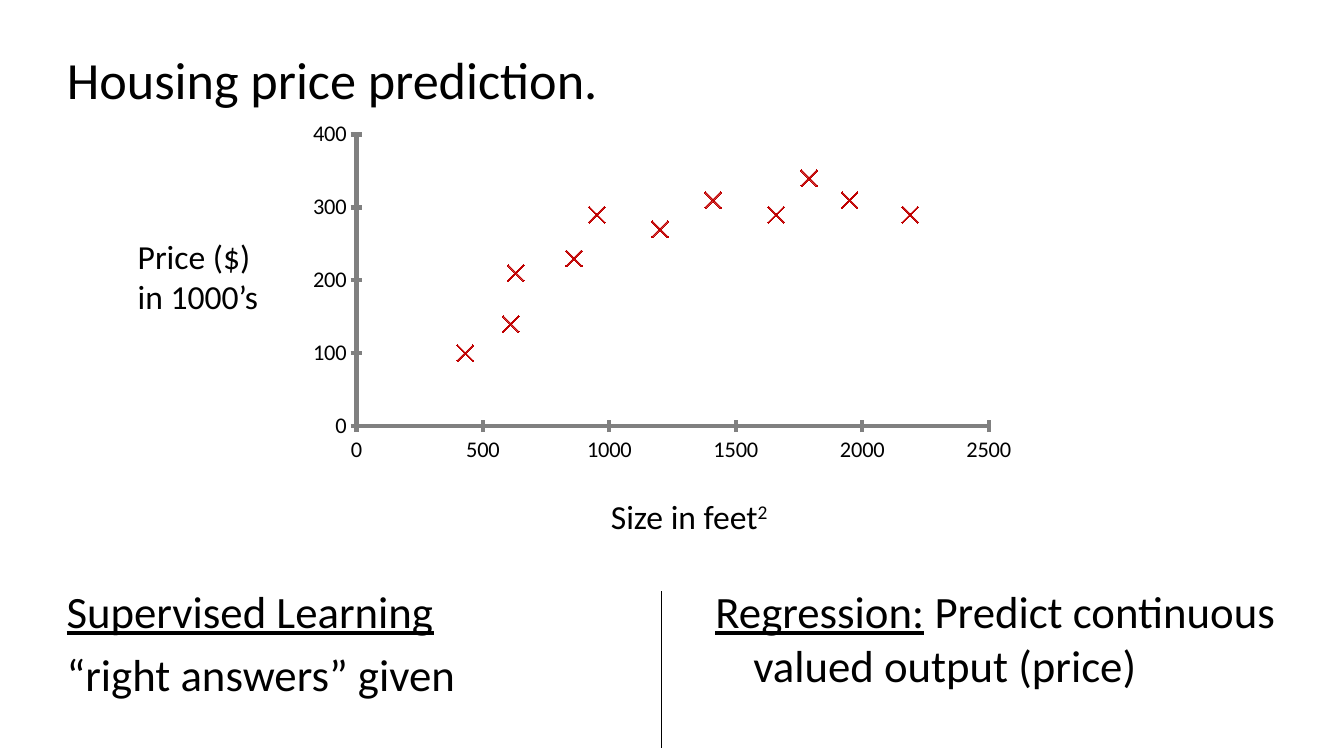
from lxml.etree import SubElement
from pptx import Presentation
from pptx.chart.data import XyChartData
from pptx.dml.color import RGBColor
from pptx.enum.chart import XL_CHART_TYPE, XL_MARKER_STYLE, XL_TICK_MARK
from pptx.enum.shapes import MSO_CONNECTOR
from pptx.enum.text import MSO_ANCHOR, MSO_AUTO_SIZE, PP_ALIGN
from pptx.oxml import parse_xml
from pptx.oxml.ns import nsdecls, qn
from pptx.util import Emu, Pt

FONT = "Calibri"
BLACK = "000000"
AXIS_GREY = "808080"
MARKER_RED = "C00000"
HANGING_INDENT = 36
HOUSES = [
    (430, 100), (610, 140), (630, 210), (860, 230), (950, 290), (1200, 270),
    (1410, 310), (1660, 290), (1790, 340), (1950, 310), (2190, 290),
]
PLOT_FRACTIONS = {"x": 0.136, "y": 0.066, "w": 0.776, "h": 0.759}


def px(length):
    return Emu(length * 9525)


def color(value):
    return RGBColor.from_string(value)


def place(shape, box):
    shape.left, shape.top, shape.width, shape.height = map(px, box)


def write(shape, paragraphs, size, align=PP_ALIGN.LEFT, hanging=False, wrap=True):
    frame = shape.text_frame
    frame.word_wrap = wrap
    frame.auto_size = MSO_AUTO_SIZE.NONE if wrap else MSO_AUTO_SIZE.SHAPE_TO_FIT_TEXT
    frame.vertical_anchor = MSO_ANCHOR.TOP
    for index, runs in enumerate(paragraphs):
        paragraph = frame.add_paragraph() if index else frame.paragraphs[0]
        paragraph.alignment = align
        if hanging:
            properties = paragraph._p.get_or_add_pPr()
            properties.set("marL", str(px(HANGING_INDENT)))
            properties.set("indent", str(px(-HANGING_INDENT)))
            paragraph.space_before = Pt(size * 0.2 if index else 0)
        for text, style in runs:
            run = paragraph.add_run()
            run.text = text
            run.font.name = FONT
            run.font.size = Pt(size)
            run.font.color.rgb = color(BLACK)
            if style == "underline":
                run.font.underline = True
            if style == "superscript":
                run._r.get_or_add_rPr().set("baseline", "30000")


def add_text(slide, box, paragraphs, size, **style):
    shape = slide.shapes.add_textbox(*map(px, box))
    write(shape, paragraphs, size, **style)


def format_axis(axis, maximum, step):
    axis.minimum_scale = 0
    axis.maximum_scale = maximum
    axis.major_unit = step
    axis.has_major_gridlines = False
    axis.has_title = False
    axis.major_tick_mark = XL_TICK_MARK.CROSS
    axis.minor_tick_mark = XL_TICK_MARK.NONE
    axis.format.line.color.rgb = color(AXIS_GREY)
    axis.format.line.width = Pt(3)
    axis.tick_labels.number_format = "0"
    axis.tick_labels.number_format_is_linked = False
    axis.tick_labels.font.size = Pt(16)
    axis.tick_labels.font.name = FONT
    axis.tick_labels.font.color.rgb = color(BLACK)


def set_plot_layout(chart):
    plot_area = chart._chartSpace.chart.plotArea
    for layout in plot_area.findall(qn("c:layout")):
        plot_area.remove(layout)
    layout = parse_xml(f"<c:layout {nsdecls('c')}><c:manualLayout/></c:layout>")
    manual = layout[0]
    SubElement(manual, qn("c:layoutTarget")).set("val", "inner")
    for name in "xy":
        SubElement(manual, qn(f"c:{name}Mode")).set("val", "edge")
    for name, fraction in PLOT_FRACTIONS.items():
        SubElement(manual, qn(f"c:{name}")).set("val", str(fraction))
    plot_area.insert(0, layout)


def add_price_chart(slide, box):
    data = XyChartData()
    houses = data.add_series("Series 1")
    for size, price in HOUSES:
        houses.add_data_point(size, price)
    chart = slide.shapes.add_chart(XL_CHART_TYPE.XY_SCATTER, *map(px, box), data).chart
    chart.has_title = False
    chart.has_legend = False
    chart.font.name = FONT
    chart.font.size = Pt(10)
    chart.font.color.rgb = color(BLACK)
    format_axis(chart.category_axis, 2500, 500)
    format_axis(chart.value_axis, 400, 100)
    set_plot_layout(chart)
    chart.plots[0].vary_by_categories = False
    series = chart.plots[0].series[0]
    series.smooth = False
    series.format.line.fill.background()
    series.marker.style = XL_MARKER_STYLE.X
    series.marker.size = 12
    series.marker.format.fill.background()
    series.marker.format.line.color.rgb = color(MARKER_RED)


def add_chart_region(slide, box):
    left, top, width, height = box
    add_price_chart(slide, (left + 113, top, 776, height - 46))
    label = {"size": 24, "align": PP_ALIGN.CENTER, "wrap": False}
    add_text(slide, (left, top + 116, 135, 87),
             [[("Price ($) ", None)], [("in 1000’s", None)]], **label)
    add_text(slide, (left + 448, top + height - 48, 179, 48),
             [[("Size in feet", None), ("2 ", "superscript")]], **label)


def add_definitions(slide, box):
    left, top, width, height = box
    column = 576
    add_text(slide, (left, top, column, height),
             [[("Supervised Learning", "underline")], [("“right answers” given", None)]],
             32, hanging=True)
    add_text(slide, (left + width - column, top, column, height),
             [[("Regression:", "underline"),
               (" Predict continuous valued output (price)", None)]],
             32, hanging=True)
    middle = left + column
    divider = slide.shapes.add_connector(
        MSO_CONNECTOR.STRAIGHT, px(middle), px(top + 12), px(middle), px(top + 161))
    divider.line.color.rgb = color(BLACK)
    divider.line.width = Pt(0.5)
    SubElement(divider._element.spPr, qn("a:effectLst"))


def add_title(slide, box):
    title = slide.shapes.title
    place(title, box)
    write(title, [[("Housing price prediction.", None)]], 37.3, hanging=True)


def main():
    presentation = Presentation()
    presentation.slide_width = px(1280)
    presentation.slide_height = px(720)
    slide = presentation.slides.add_slide(presentation.slide_layouts[5])
    add_title(slide, (54, 40, 1152, 128))
    add_chart_region(slide, (121, 104, 889, 412))
    add_definitions(slide, (54, 551, 1194, 128))
    presentation.save("out.pptx")


if __name__ == "__main__":
    main()
